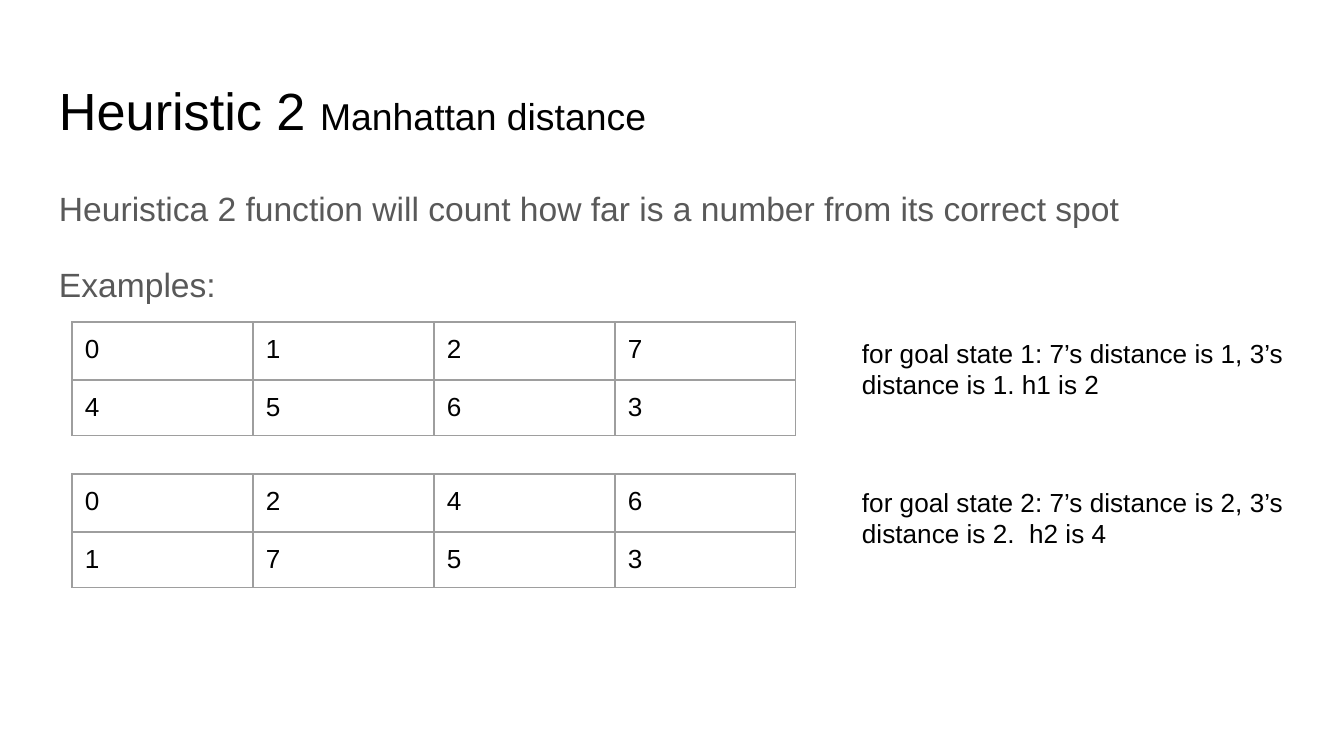
from dataclasses import dataclass

from lxml import etree
from pptx import Presentation
from pptx.dml.color import RGBColor
from pptx.enum.text import MSO_ANCHOR, MSO_AUTO_SIZE, PP_ALIGN
from pptx.oxml.ns import qn
from pptx.util import Emu, Pt

TOP = MSO_ANCHOR.TOP
FIXED = MSO_AUTO_SIZE.NONE
LEFT = PP_ALIGN.LEFT
SCALE = 914400 / 134.4


@dataclass(frozen=True)
class Theme:
    font: str = "Arial"
    ink: str = "000000"
    soft: str = "595959"
    rule: str = "9E9E9E"
    line: float = 0.75
    head: int = 28
    sub: int = 20
    body: int = 18
    note: int = 14


THEME = Theme()
PAD = 13
GRID_X, COL_W, ROWS = 72, 181, (58, 51)
NOTE_X, NOTE_W, NOTE_H = 849, 449, 115
CASES = [
    (322, 324, ["0127", "4563"],
     "for goal state 1: 7’s distance is 1, 3’s distance is 1. h1 is 2"),
    (474, 473, ["0246", "1753"],
     "for goal state 2: 7’s distance is 2, 3’s distance is 2.  h2 is 4"),
]


def px(n):
    return Emu(round(n * SCALE))


def place(shape, x, y, w, h):
    shape.left, shape.top, shape.width, shape.height = map(px, (x, y, w, h))


def pad(item):
    item.margin_left = item.margin_right = px(PAD)
    item.margin_top = item.margin_bottom = px(PAD)


def set_frame(frame):
    pad(frame)
    frame.word_wrap = True
    frame.auto_size = FIXED
    frame.vertical_anchor = TOP


def set_font(font, size, color):
    font.name = THEME.font
    font.size = Pt(size)
    font.color.rgb = RGBColor.from_string(color)


def add_title(slide):
    title = slide.shapes.title
    place(title, 46, 65, 1252, 85)
    set_frame(title.text_frame)
    para = title.text_frame.paragraphs[0]
    para.alignment = LEFT
    for text, size in (("Heuristic 2 ", THEME.head),
                       ("Manhattan distance", THEME.sub)):
        run = para.add_run()
        run.text = text
        set_font(run.font, size, THEME.ink)


def add_body(slide, lines):
    body = slide.placeholders[1]
    place(body, 46, 169, 1252, 502)
    frame = body.text_frame
    set_frame(frame)
    frame.text = "\n".join(lines)
    for i, para in enumerate(frame.paragraphs):
        para.line_spacing = 1.15
        para.space_before = Pt(16 if i else 0)
        props = para._p.get_or_add_pPr()
        props.set("marL", "0")
        props.set("indent", "0")
        etree.SubElement(props, qn("a:buNone"))
        set_font(para.font, THEME.body, THEME.soft)


def add_edges(cell):
    props = cell._tc.get_or_add_tcPr()
    for side in ("lnL", "lnR", "lnT", "lnB"):
        edge = etree.SubElement(props, qn(f"a:{side}"), w=str(Pt(THEME.line)))
        fill = etree.SubElement(edge, qn("a:solidFill"))
        etree.SubElement(fill, qn("a:srgbClr"), val=THEME.rule)


def add_grid(slide, y, rows):
    count = len(rows[0])
    table = slide.shapes.add_table(len(rows), count, px(GRID_X), px(y),
                                   px(COL_W * count), px(sum(ROWS))).table
    table.first_row = table.horz_banding = False
    for col in table.columns:
        col.width = px(COL_W)
    for r, row in enumerate(rows):
        table.rows[r].height = px(ROWS[r])
        for c, digit in enumerate(row):
            cell = table.cell(r, c)
            cell.text = digit
            pad(cell)
            add_edges(cell)
            cell.fill.background()
            set_font(cell.text_frame.paragraphs[0].font, THEME.note, THEME.ink)


def add_note(slide, y, text):
    box = slide.shapes.add_textbox(px(NOTE_X), px(y), px(NOTE_W), px(NOTE_H))
    set_frame(box.text_frame)
    box.text_frame.text = text
    set_font(box.text_frame.paragraphs[0].font, THEME.note, THEME.ink)


def main():
    deck = Presentation()
    deck.slide_width, deck.slide_height = px(1344), px(756)
    slide = deck.slides.add_slide(deck.slide_layouts[1])
    add_title(slide)
    add_body(slide, [
        "Heuristica 2 function will count how far is a number from its correct spot",
        "Examples:",
    ])
    for grid_y, note_y, rows, text in CASES:
        add_grid(slide, grid_y, rows)
        add_note(slide, note_y, text)
    deck.save("out.pptx")


if __name__ == "__main__":
    main()
